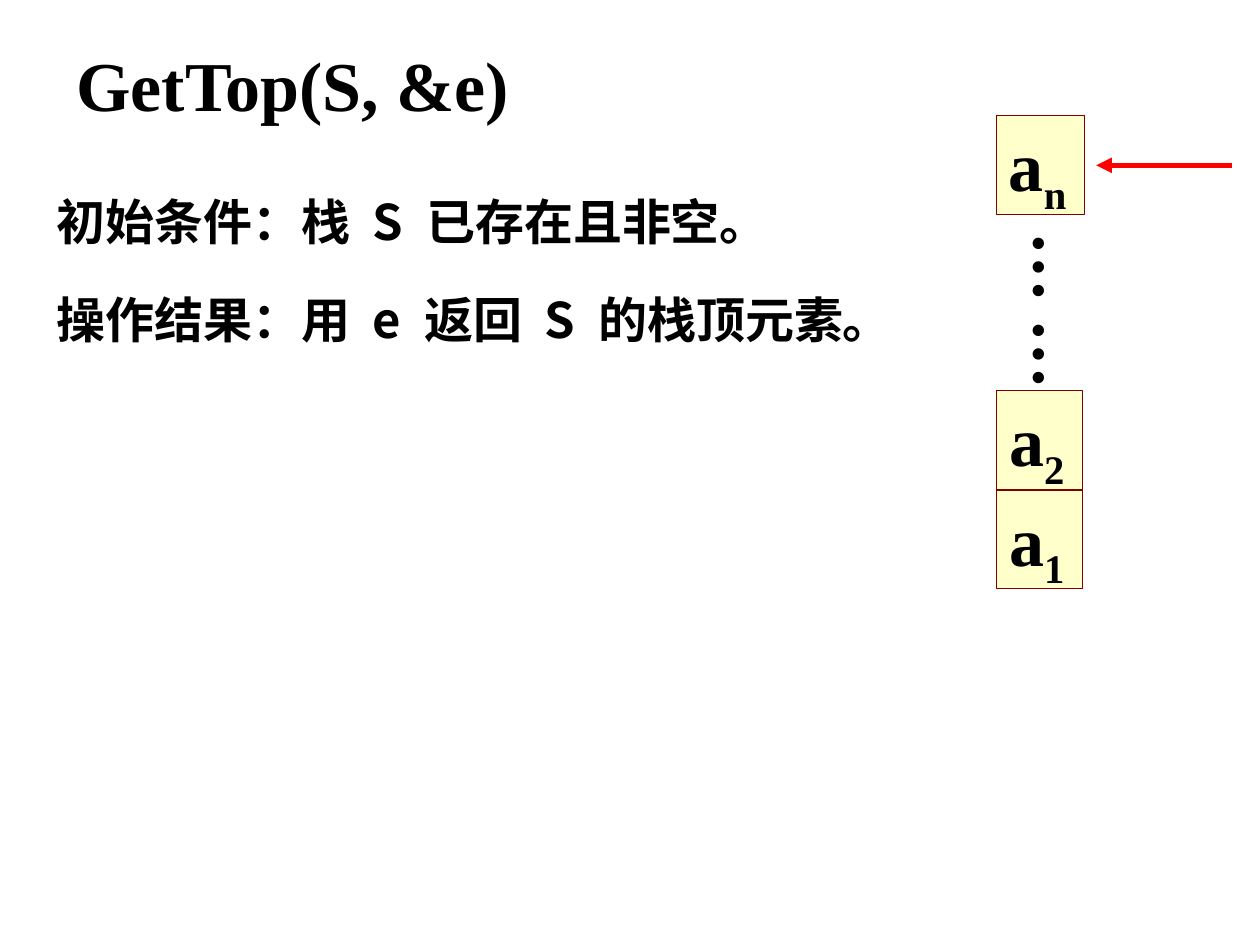
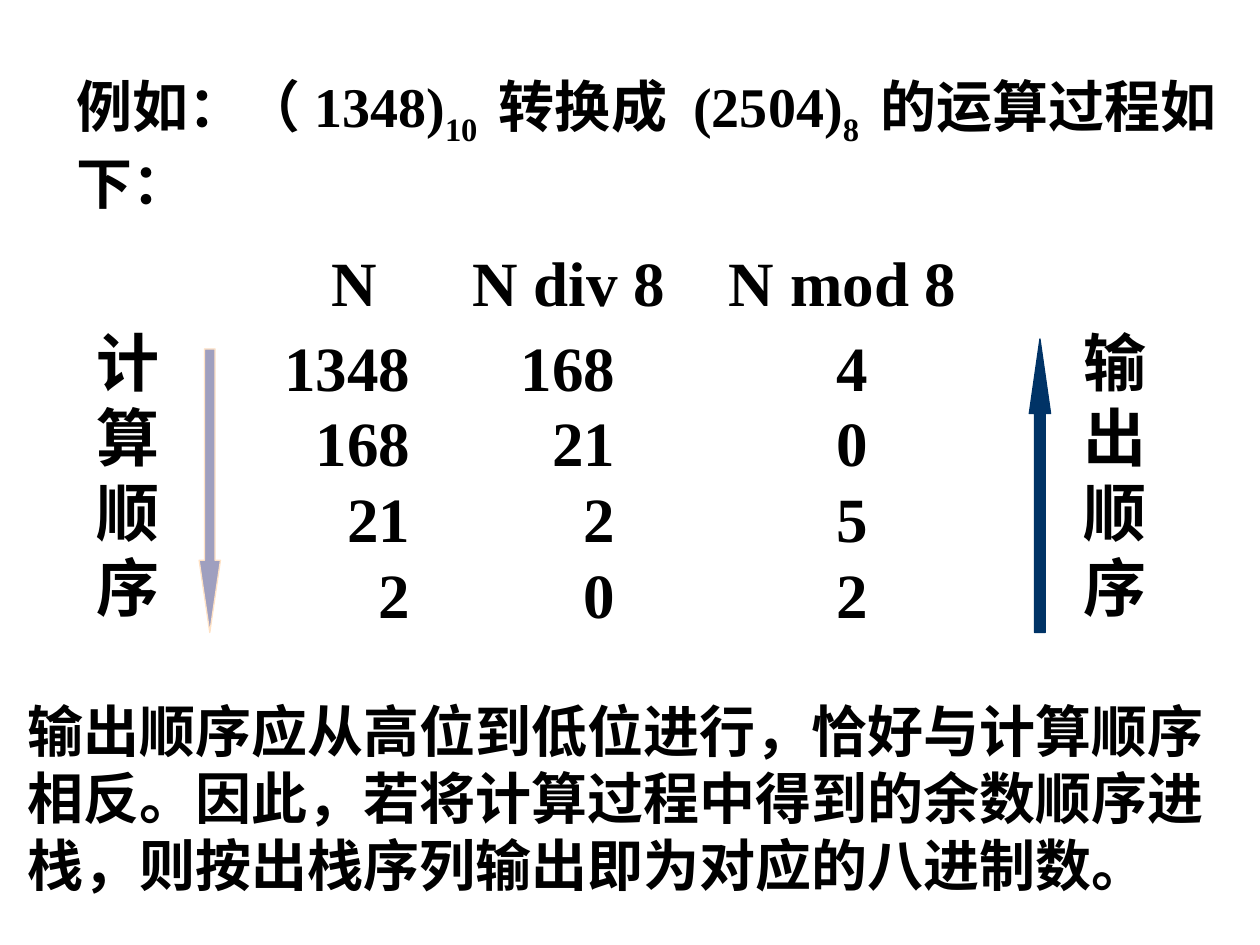
from dataclasses import dataclass
from typing import NamedTuple

from lxml import etree
from pptx import Presentation
from pptx.dml.color import RGBColor
from pptx.enum import shapes, text
from pptx.oxml import ns
from pptx.util import Pt


@dataclass(frozen=True)
class Theme:
    ink: str = "000000"
    cell_fill: str = "FFFFCC"
    cell_line: str = "800000"
    pointer: str = "FF0000"
    down_fill: str = "9F9FBF"
    down_line: str = "FFE2C5"
    up_fill: str = "003366"
    serif: str = "Times New Roman"
    sans: str = "Noto Sans CJK SC"
    title: float = 40
    label: float = 36
    body: float = 32
    note: float = 28
    thin: float = 0.75
    thick: float = 3


THEME = Theme()


class Span(NamedTuple):
    words: str
    lowered: bool = False


class Box(NamedTuple):
    left: float
    top: float
    width: float
    height: float

    def lengths(self) -> list:
        return [Pt(value) for value in self]


@dataclass(frozen=True)
class TextBox:
    box: Box
    spans: tuple
    size: float
    font: str = THEME.serif
    wrap: bool = True
    rotation: float = 0
    spacing: float | None = None


@dataclass(frozen=True)
class BlockArrow:
    kind: shapes.MSO_SHAPE
    box: Box
    head_ratio: float
    fill: str
    line: str


@dataclass(frozen=True)
class Column:
    width: float
    right_margin: float
    heading: str
    values: tuple


def rgb(code: str) -> RGBColor:
    return RGBColor.from_string(code)


def add_spans(para, spans, size: float, font: str) -> None:
    for span in spans:
        run = para.add_run()
        run.text = span.words
        run.font.size = Pt(size)
        run.font.bold = True
        run.font.name = font
        run.font.color.rgb = rgb(THEME.ink)
        east_asian = etree.SubElement(run._r.get_or_add_rPr(), ns.qn("a:ea"))
        east_asian.set("typeface", THEME.sans)
        if span.lowered:
            run._r.get_or_add_rPr().set("baseline", "-25000")


def draw_text(page, item: TextBox) -> None:
    shape = page.shapes.add_textbox(*item.box.lengths())
    shape.rotation = item.rotation
    shape.text_frame.word_wrap = item.wrap
    para = shape.text_frame.paragraphs[0]
    if item.spacing:
        para.line_spacing = Pt(item.spacing)
    add_spans(para, item.spans, item.size, item.font)


def draw_shape(page, kind, box: Box, fill: str, line: str):
    shape = page.shapes.add_shape(kind, *box.lengths())
    shape.shadow.inherit = False
    shape.fill.solid()
    shape.fill.fore_color.rgb = rgb(fill)
    shape.line.color.rgb = rgb(line)
    shape.line.width = Pt(THEME.thin)
    return shape


def draw_stack_cell(page, index: str, box: Box) -> None:
    shape = draw_shape(page, shapes.MSO_SHAPE.RECTANGLE, box,
                       THEME.cell_fill, THEME.cell_line)
    frame = shape.text_frame
    frame.word_wrap = False
    frame.vertical_anchor = text.MSO_ANCHOR.TOP
    para = frame.paragraphs[0]
    para.alignment = text.PP_ALIGN.LEFT
    add_spans(para, (Span("a"), Span(index, True)), THEME.title, THEME.serif)


def draw_block_arrow(page, arrow: BlockArrow) -> None:
    shape = draw_shape(page, arrow.kind, arrow.box, arrow.fill, arrow.line)
    shape.adjustments[0] = 0.5
    shape.adjustments[1] = arrow.head_ratio


def draw_pointer(page, start: float, end: float, y: float) -> None:
    line = page.shapes.add_connector(shapes.MSO_CONNECTOR.STRAIGHT,
                                     Pt(start), Pt(y), Pt(end), Pt(y))
    line.line.color.rgb = rgb(THEME.pointer)
    line.line.width = Pt(THEME.thick)
    head = etree.SubElement(line.line._get_or_add_ln(), ns.qn("a:tailEnd"))
    head.set("type", "triangle")
    etree.SubElement(line._element.spPr, ns.qn("a:effectLst"))


def draw_table(page, left: float, top: float, columns, heading_height: float,
               row_height: float) -> None:
    count = 1 + len(columns[0].values)
    box = Box(left, top, sum(column.width for column in columns),
              heading_height + row_height * (count - 1))
    table = page.shapes.add_table(count, len(columns), *box.lengths()).table
    table.first_row = table.horz_banding = False
    for r, row in enumerate(table.rows):
        row.height = Pt(row_height if r else heading_height)
    for c, column in enumerate(columns):
        table.columns[c].width = Pt(column.width)
        for r, words in enumerate((column.heading, *column.values)):
            cell = table.cell(r, c)
            cell.margin_left = cell.margin_top = cell.margin_bottom = 0
            cell.margin_right = Pt(column.right_margin if r else 0)
            for side in ("lnL", "lnR", "lnT", "lnB"):
                edge = etree.SubElement(cell._tc.get_or_add_tcPr(), ns.qn(f"a:{side}"))
                etree.SubElement(edge, ns.qn("a:noFill"))
            cell.fill.background()
            para = cell.text_frame.paragraphs[0]
            para.alignment = text.PP_ALIGN.RIGHT if r else text.PP_ALIGN.CENTER
            add_spans(para, (Span(words),), THEME.label, THEME.serif)


def build_get_top(page) -> None:
    # Stack cells, from the bottom up
    left, height = 569.5, 56.5
    for index, top, width in (("1", 280, 49), ("2", 223.2, 49), ("n", 66, 50.4)):
        draw_stack_cell(page, index, Box(left, top, width, height))
    draw_pointer(page, 704.2, 626.4, 94.5)
    draw_text(page, TextBox(Box(528.5, 149.8, 104.4, 55.4), (Span("… …"),),
                            THEME.title, wrap=False, rotation=270))

    # Title and the two conditions
    draw_text(page, TextBox(Box(36.7, 20.2, 264.2, 55.4),
                            (Span("GetTop(S, &e)"),), THEME.title))
    conditions = ("初始条件：栈 S 已存在且非空。", "操作结果：用 e 返回 S 的栈顶元素。")
    for i, words in enumerate(conditions):
        draw_text(page, TextBox(Box(25.2, 105.8 + 56.2 * i, 493.2, 41),
                                (Span(words),), THEME.note, THEME.sans))


def build_conversion(page) -> None:
    # Heading and conclusion
    draw_text(page, TextBox(
        Box(36.7, 37.4, 674.6, 84.2),
        (Span("例如：（1348)"), Span("10 ", True), Span("转换成 (2504)"),
         Span("8 ", True), Span("的运算过程如下：")), THEME.body))
    draw_text(page, TextBox(
        Box(8.6, 394.6, 700.6, 122.4),
        (Span("输出顺序应从高位到低位进行，恰好与计算顺序相反。因此，若将计算过程中"
              "得到的余数顺序进栈，则按出栈序列输出即为对应的八进制数。"),),
        THEME.body, spacing=38.3))

    # Division steps
    columns = (Column(92, 14, "N", ("1348", "168", "21", "2")),
               Column(153, 50, "N div 8", ("168", "21", "2", "0")),
               Column(160, 65.5, "N mod 8", ("4", "0", "5", "2")))
    draw_table(page, 156.5, 143.3, columns, 48.2, 42)

    # Order of calculation and of output
    for words, left in (("计算顺序", 48.2), ("输出顺序", 612)):
        draw_text(page, TextBox(Box(left, 181.4, 48.2, 180), (Span(words),),
                                THEME.label, spacing=42.9))
    draw_block_arrow(page, BlockArrow(shapes.MSO_SHAPE.DOWN_ARROW,
                                      Box(113.8, 199.4, 12.2, 162), 3.38,
                                      THEME.down_fill, THEME.down_line))
    draw_block_arrow(page, BlockArrow(shapes.MSO_SHAPE.UP_ARROW,
                                      Box(588.2, 193.7, 12.2, 167.8), 3.5,
                                      THEME.up_fill, THEME.up_line if hasattr(THEME, "up_line") else THEME.up_fill))


def main() -> None:
    deck = Presentation()
    deck.slide_width, deck.slide_height = Pt(720), Pt(540)
    for build in (build_get_top, build_conversion):
        build(deck.slides.add_slide(deck.slide_layouts[6]))
    deck.save("out.pptx")


if __name__ == "__main__":
    main()
